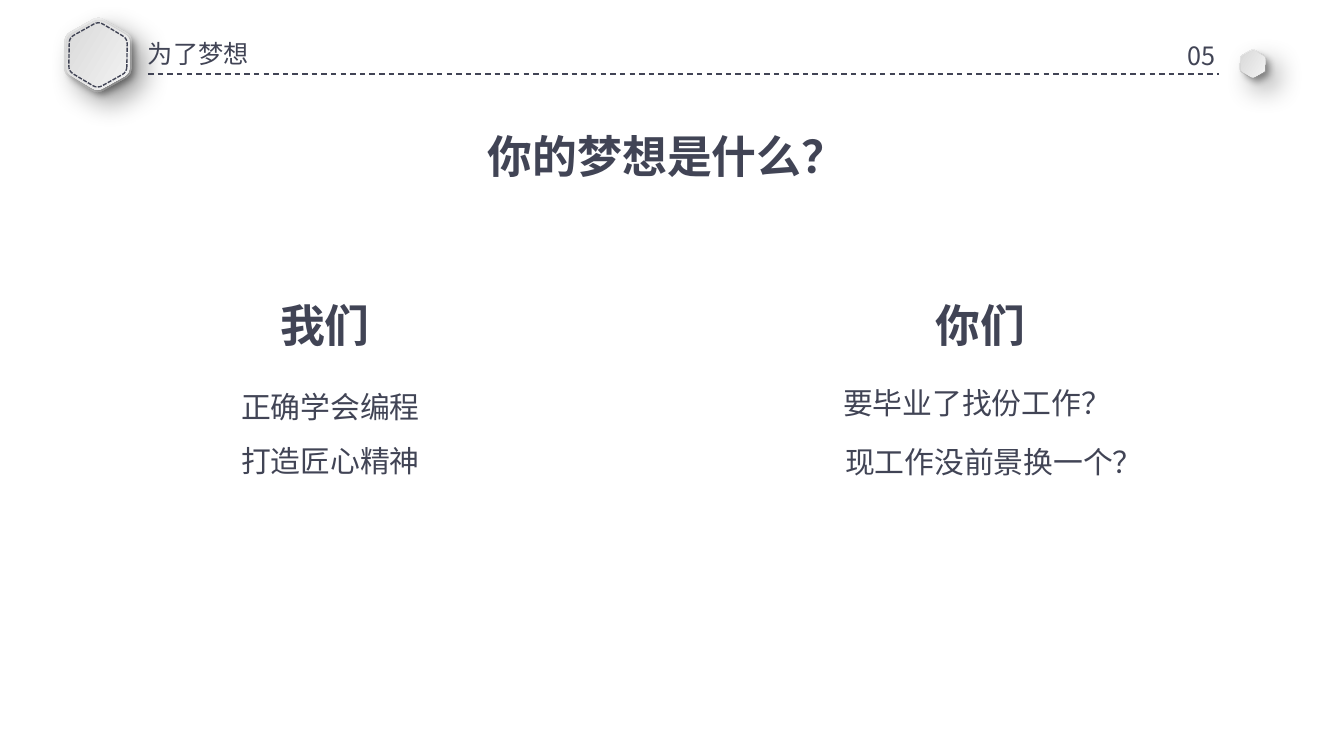
from dataclasses import dataclass
from math import cos, pi, sin, sqrt

from lxml import etree
from pptx import Presentation
from pptx.dml.color import RGBColor
from pptx.enum.dml import MSO_LINE_DASH_STYLE
from pptx.enum.shapes import MSO_CONNECTOR
from pptx.enum.text import MSO_ANCHOR, MSO_AUTO_SIZE
from pptx.oxml.ns import qn
from pptx.util import Emu, Pt

DASH = MSO_LINE_DASH_STYLE.DASH
SHORT_DASH = MSO_LINE_DASH_STYLE.SQUARE_DOT
STRAIGHT = MSO_CONNECTOR.STRAIGHT
MIDDLE = MSO_ANCHOR.MIDDLE
FIT_TEXT = MSO_AUTO_SIZE.SHAPE_TO_FIT_TEXT
EMU_PER_PX = 914400 / 134.4


@dataclass(frozen=True)
class Theme:
    """Colours, font and type sizes of the slide."""
    ink: str = "414455"
    shade: str = "D3D3D3"
    light: str = "F9F9F9"
    shadow: str = "000000"
    font: str = "Noto Sans CJK SC"
    header: float = 13.5
    body: float = 16
    heading: float = 24
    line: float = 0.75


THEME = Theme()
RIM = {"angle": 90, "blur": 15, "distance": 9}
FACE = {"angle": 0, "blur": 4, "distance": 3}


def px(value):
    """Turn pixels into EMU."""
    return Emu(round(value * EMU_PER_PX))


def set_values(target, values):
    """Set each attribute of the target from a dict."""
    for name, value in values.items():
        setattr(target, name, value)


def add_text(slide, text, box, size, bold=False):
    """Add a one-line text box whose text is centred vertically."""
    shape = slide.shapes.add_textbox(*map(px, box))
    side, edge = (8, 4) if size == THEME.header else (10, 5)
    set_values(shape.text_frame, {
        "word_wrap": True, "auto_size": FIT_TEXT, "vertical_anchor": MIDDLE,
        "margin_left": px(side), "margin_right": px(side),
        "margin_top": px(edge), "margin_bottom": px(edge),
    })
    run = shape.text_frame.paragraphs[0].add_run()
    run.text = text
    set_values(run.font, {"name": THEME.font, "size": Pt(size), "bold": bold})
    run.font.color.rgb = RGBColor.from_string(THEME.ink)
    properties = run.font._element
    etree.SubElement(properties, qn("a:ea"), typeface=THEME.font)


def style_line(line, dash):
    """Give a line the ink colour and a dash."""
    line.color.rgb = RGBColor.from_string(THEME.ink)
    set_values(line, {"width": Pt(THEME.line), "dash_style": dash})


def add_rule(slide, left, right, top):
    """Add a dashed horizontal rule."""
    rule = slide.shapes.add_connector(STRAIGHT, px(left), px(top), px(right), px(top))
    style_line(rule.line, DASH)
    etree.SubElement(rule._element.spPr, qn("a:effectLst"))


def hexagon_points(centre, height):
    """Return the EMU points of a flat-topped hexagon with rounded corners."""
    radius = height / sqrt(3)
    corners = [(centre[0] + radius * cos(i * pi / 3),
                centre[1] + radius * sin(i * pi / 3)) for i in range(6)]
    points = []
    for i, corner in enumerate(corners):
        before, after = corners[i - 1], corners[(i + 1) % 6]
        for t in (0, 0.25, 0.5, 0.75, 1):
            points.append(tuple(
                px(c + 0.16 * ((1 - t) ** 2 * (b - c) + t ** 2 * (a - c)))
                for b, c, a in zip(before, corner, after)))
    return points


def add_hexagon(slide, centre, height):
    """Add a turned rounded hexagon without an inherited shadow."""
    points = hexagon_points(centre, height)
    builder = slide.shapes.build_freeform(*points[0], scale=1.0)
    builder.add_line_segments(points[1:], close=True)
    shape = builder.convert_to_shape()
    shape.rotation = 30.9
    shape.shadow.inherit = False
    return shape


def add_shadow(shape, blur, distance):
    """Add a soft shadow to the lower right."""
    effects = shape._element.spPr.find(qn("a:effectLst"))
    shadow = etree.SubElement(
        effects, qn("a:outerShdw"), blurRad=str(Pt(blur)), dist=str(Pt(distance)),
        dir="2700000", algn="tl", rotWithShape="0")
    color = etree.SubElement(shadow, qn("a:srgbClr"), val=THEME.shadow)
    etree.SubElement(color, qn("a:alpha"), val="40000")


def add_plate(slide, centre, height, finish):
    """Add a hexagon with a grey gradient and a shadow."""
    shape = add_hexagon(slide, centre, height)
    shape.line.fill.background()
    shape.fill.gradient()
    shape.fill.gradient_angle = finish["angle"]
    for stop, color, position in zip(
            shape.fill.gradient_stops, (THEME.shade, THEME.light), (0, 1)):
        stop.color.rgb = RGBColor.from_string(color)
        stop.position = position
    add_shadow(shape, finish["blur"], finish["distance"])
    return shape


def add_badge(slide, centre, rim, face, stitch=None):
    """Add a group of nested hexagons, with a dashed outline if asked."""
    parts = [add_plate(slide, centre, rim, RIM), add_plate(slide, centre, face, FACE)]
    if stitch:
        outline = add_hexagon(slide, centre, stitch)
        outline.fill.background()
        style_line(outline.line, SHORT_DASH)
        parts.append(outline)
    slide.shapes.add_group_shape(parts)


def main():
    """Build the slide and save it."""
    presentation = Presentation()
    set_values(presentation, {"slide_width": px(1344), "slide_height": px(756)})
    slide = presentation.slides.add_slide(presentation.slide_layouts[6])

    add_badge(slide, (98, 55), 67, 63, 58)
    add_text(slide, "为了梦想", (140, 34, 289, 38), THEME.header)
    add_rule(slide, 148, 1219, 74)
    add_badge(slide, (1253, 64), 26, 24)
    add_text(slide, "05", (1180, 36, 47, 38), THEME.header)

    for text, left, top, width in (
            ("你的梦想是什么？", 478, 124, 418),
            ("我们", 270, 293, 159),
            ("你们", 926, 293, 159)):
        add_text(slide, text, (left, top, width, 64), THEME.heading, bold=True)
    for text, left, top, width in (
            ("正确学会编程", 231, 384, 239),
            ("打造匠心精神", 231, 438, 239),
            ("要毕业了找份工作？", 833, 380, 419),
            ("现工作没前景换一个？", 835, 439, 419)):
        add_text(slide, text, (left, top, width, 46), THEME.body)

    presentation.save("out.pptx")


if __name__ == "__main__":
    main()
